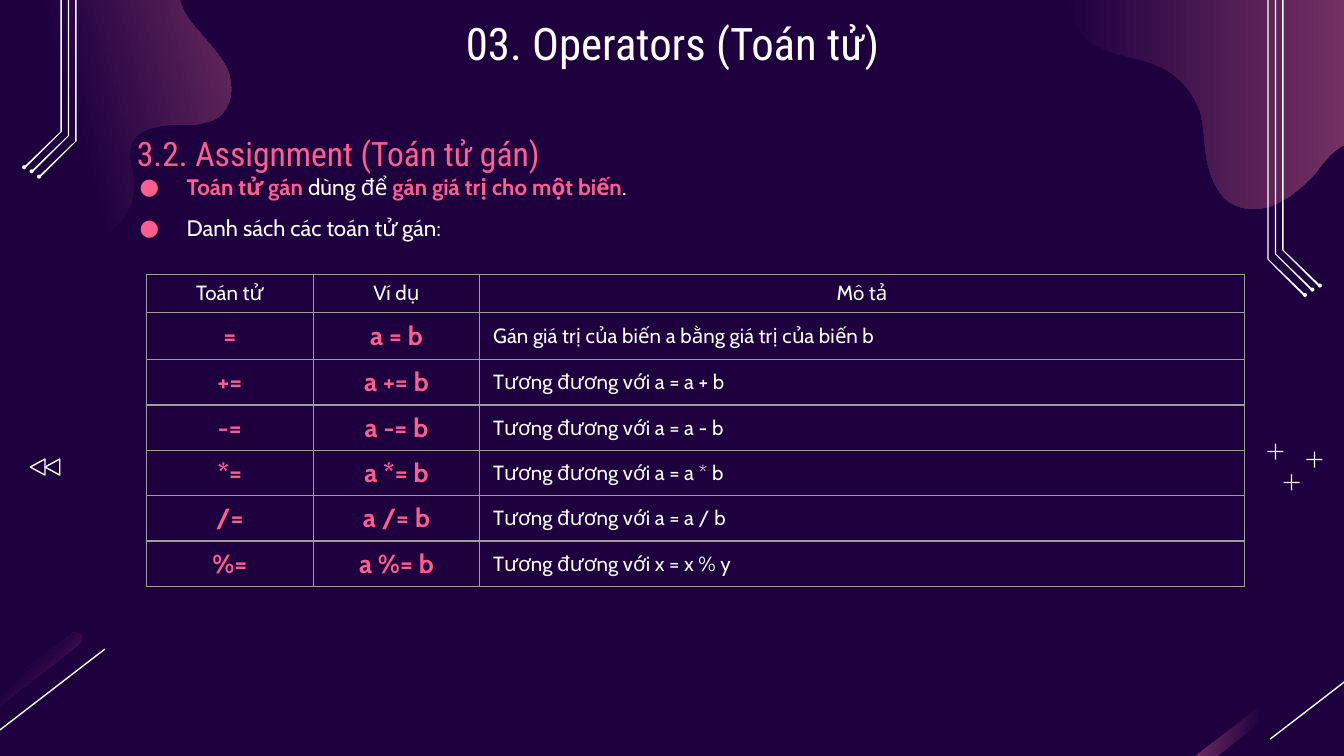
import pptx
import pptx.dml.color
import pptx.enum.shapes
import pptx.enum.text
import pptx.oxml
import pptx.oxml.ns
import pptx.util

COLS, ROWS = 10, 5.625
CELL = pptx.util.Inches(1)
NIGHT, PLUM, PINK, WHITE, GREY = "1E003F", "A64D79", "FF5E8E", "FFFFFF", "9E9E9E"
BODY, HEAD = "Cabin", "Roboto Condensed"
NS = pptx.oxml.ns.nsdecls("a")
SHAPE = pptx.enum.shapes.MSO_SHAPE
ALIGN = pptx.enum.text.PP_ALIGN
ANCHOR = pptx.enum.text.MSO_ANCHOR

LEFT_BLOB = [
    (0.48, 1.9), (0.74, 1.83, 0.86, 1.69, 0.9, 1.65), (0.98, 1.56, 1.01, 1.43, 0.99, 1.31),
    (0.98, 1.24, 0.95, 1.17, 0.97, 1.11), (0.98, 1.02, 1.06, 0.97, 1.14, 0.95),
    (1.24, 0.92, 1.33, 0.93, 1.42, 0.93), (1.46, 0.93, 1.5, 0.92, 1.53, 0.91),
    (1.58, 0.9, 1.63, 0.88, 1.66, 0.84), (1.74, 0.75, 1.73, 0.61, 1.69, 0.51),
    (1.64, 0.41, 1.55, 0.32, 1.48, 0.23), (1.4, 0.15, 1.33, 0.04, 1.33, -0.07),
    (1.33, -0.16, 1.36, -0.25, 1.43, -0.31), (1.47, -0.35, 1.53, -0.38, 1.59, -0.39),
    (1.68, -0.42, 1.79, -0.42, 1.9, -0.41), (2.01, -0.41, 2.12, -0.4, 2.23, -0.42),
    (2.37, -0.46, 2.46, -0.51, 2.52, -0.58), (2.59, -0.66, 2.61, -0.78, 2.58, -0.87),
    (2.56, -1.05, 2.44, -1.25, 2.33, -1.34), (2.15, -1.5, 1.9, -1.55, 1.67, -1.51),
    (1.29, -1.4, 1.03, -1.1, 0.7, -0.95), (0.65, -0.93, 0.59, -0.91, 0.54, -0.9),
    (0.22, -0.81, -0.13, -0.85, -0.47, -0.82), (-0.62, -0.81, -0.77, -0.78, -0.91, -0.74),
    (-1.04, -0.71, -1.16, -0.67, -1.28, -0.61), (-1.45, -0.54, -1.62, -0.44, -1.74, -0.3),
    (-1.86, -0.17, -1.95, 0.02, -1.94, 0.22), (-1.93, 0.46, -1.76, 0.68, -1.56, 0.8),
    (-1.35, 0.93, -1.12, 0.97, -0.88, 0.99), (-0.74, 1.01, -0.6, 1.01, -0.46, 1.06),
    (-0.32, 1.1, -0.19, 1.19, -0.13, 1.33), (-0.08, 1.44, -0.08, 1.55, -0.03, 1.66),
    (0.06, 1.84, 0.29, 1.95, 0.48, 1.9)]
RIGHT_BLOB = [
    (1.25, 0.38), (1.25, 0.13, 1.18, -0.13, 1.05, -0.35), (0.94, -0.54, 0.78, -0.7, 0.58, -0.77),
    (0.36, -0.85, 0.12, -0.81, -0.11, -0.84), (-0.33, -0.87, -0.55, -0.97, -0.71, -1.13),
    (-0.82, -1.23, -0.91, -1.35, -1.03, -1.41), (-1.17, -1.48, -1.33, -1.46, -1.48, -1.43),
    (-1.6, -1.4, -1.72, -1.36, -1.81, -1.29), (-1.97, -1.17, -2.04, -0.97, -2.07, -0.78),
    (-2.1, -0.65, -2.11, -0.51, -2.11, -0.38), (-2.11, -0.31, -2.11, -0.24, -2.1, -0.18),
    (-2.09, 0, -2.04, 0.18, -1.91, 0.3), (-1.75, 0.42, -1.53, 0.42, -1.36, 0.5),
    (-1.22, 0.57, -1.12, 0.69, -1.07, 0.83), (-1.04, 0.94, -1.04, 1.07, -1.02, 1.19),
    (-1, 1.3, -0.95, 1.43, -0.86, 1.5), (-0.76, 1.57, -0.62, 1.57, -0.51, 1.52),
    (-0.4, 1.47, -0.31, 1.39, -0.22, 1.3), (-0.17, 1.23, -0.12, 1.16, -0.05, 1.11),
    (0.02, 1.06, 0.1, 1.03, 0.18, 1.06), (0.33, 1.1, 0.38, 1.3, 0.52, 1.38),
    (0.85, 1.57, 1.08, 1.12, 1.17, 0.88), (1.22, 0.72, 1.25, 0.55, 1.25, 0.38)]
STREAK = [
    (1.44, 0), (1.45, 0, 1.47, 0, 1.48, 0.01), (1.49, 0.04, 1.49, 0.07, 1.47, 0.08),
    (0.07, 1.17), (0.04, 1.18, 0.01, 1.18, 0, 1.16), (-0.02, 1.14, -0.02, 1.11, 0.01, 1.09),
    (1.41, 0.01), (1.42, 0, 1.43, -0.01, 1.44, 0)]


def rgb(value):
    return pptx.dml.color.RGBColor.from_string(value)


def grid(*values):
    return [round(v * CELL) for v in values]


def put_text(p, text, font=BODY, size=11, color=WHITE, bold=False):
    r = p.add_run()
    r.text = text
    r.font.name, r.font.size, r.font.bold = font, pptx.util.Pt(size), bold
    r.font.color.rgb = rgb(color)


def frame(sp, box, anchor):
    sp.left, sp.top, sp.width, sp.height = grid(*box)
    tf = sp.text_frame
    tf.word_wrap, tf.vertical_anchor = True, anchor
    tf.auto_size = pptx.enum.text.MSO_AUTO_SIZE.NONE
    tf.margin_left = tf.margin_right = tf.margin_top = tf.margin_bottom = grid(0.1)[0]
    return tf


def style(sp, fill=None, line=None):
    sp.shadow.inherit = False
    if fill:
        sp.fill.solid()
        sp.fill.fore_color.rgb = rgb(fill)
    else:
        sp.fill.background()
    if line:
        sp.line.color.rgb, sp.line.width = rgb(line), pptx.util.Pt(0.75)
    else:
        sp.line.fill.background()


def shade(sp, stops, direction):
    sp.fill.gradient()
    old = sp._element.spPr.find(pptx.oxml.ns.qn("a:gradFill"))
    marks = "".join(f'<a:gs pos="{pos * 1000}"><a:srgbClr val="{c}"/></a:gs>' for pos, c in stops)
    new = pptx.oxml.parse_xml(
        f'<a:gradFill {NS} rotWithShape="1"><a:gsLst>{marks}</a:gsLst>{direction}</a:gradFill>')
    old.getparent().replace(old, new)


def linear(degrees):
    return f'<a:lin ang="{degrees * 60000}" scaled="0"/>'


def flatten(segments, steps=8):
    points = [segments[0]]
    for seg in segments[1:]:
        if len(seg) == 2:
            points.append(seg)
            continue
        ends = [points[-1], seg[:2], seg[2:4], seg[4:]]
        for i in range(1, steps + 1):
            t = i / steps
            weights = [(1 - t) ** 3, 3 * t * (1 - t) ** 2, 3 * t * t * (1 - t), t ** 3]
            points.append(tuple(sum(w * e[k] for w, e in zip(weights, ends)) for k in (0, 1)))
    return points


def outline(slide, origin, segments, fill=None):
    points = [grid(origin[0] + x, origin[1] + y) for x, y in flatten(segments)]
    builder = slide.shapes.build_freeform(*points[0])
    builder.add_line_segments(points[1:], close=True)
    sp = builder.convert_to_shape()
    style(sp, fill)
    return sp


def preset(slide, kind, box, fill=None, line=None):
    sp = slide.shapes.add_shape(kind, *grid(*box))
    style(sp, fill, line)
    return sp


def draw_streak(slide, origin, direction):
    x, y = origin
    sp = outline(slide, origin, STREAK)
    shade(sp, [(0, NIGHT), (50, NIGHT), (100, PLUM)], direction)
    line = slide.shapes.add_connector(
        pptx.enum.shapes.MSO_CONNECTOR.STRAIGHT, *grid(x + 1.66, y + 0.12, x + 0.79, y + 0.79))
    line.line.color.rgb, line.line.width = rgb(WHITE), pptx.util.Pt(0.75)
    line._element.spPr.append(pptx.oxml.parse_xml(f"<a:effectLst {NS}/>"))


def draw_traces(slide, origin, side):
    for i, turn in enumerate((3.12, 3.08, 3.05)):
        start = (origin[0] + side * i * 0.055, origin[1])
        track = [(0, 0), (0, turn), (0.27, turn + 0.27), (0.28, turn + 0.26), (0.01, turn), (0.01, 0)]
        outline(slide, start, [(side * x, y) for x, y in track], WHITE)
        dot = (start[0] + side * 0.28 - 0.015, start[1] + turn + 0.25, 0.03, 0.03)
        preset(slide, SHAPE.OVAL, dot, WHITE)


def draw_pluses(slide, origin):
    for dx, dy in ((0.18, 0.29), (0.35, 0.12), (0.06, 0.06)):
        for w, h in ((0.12, 0.01), (0.01, 0.12)):
            preset(slide, SHAPE.RECTANGLE, (origin[0] + dx - w / 2, origin[1] + dy - h / 2, w, h), WHITE)


def draw_rewind(slide, origin):
    for i in range(2):
        box = (origin[0] + i * 0.11, origin[1], 0.12, 0.11)
        preset(slide, SHAPE.ISOSCELES_TRIANGLE, box, line=WHITE).rotation = 270


def draw_backdrop(slide):
    left = outline(slide, (0, 0), LEFT_BLOB)
    shade(left, [(0, NIGHT), (50, NIGHT), (100, PLUM)], linear(345))
    right = outline(slide, (COLS, 0), RIGHT_BLOB)
    shade(right, [(0, NIGHT), (100, PLUM)], linear(0))
    corner = '<a:path path="circle"><a:fillToRect r="100000" b="100000"/></a:path>'
    draw_streak(slide, (-0.88, 4.71), corner)
    draw_streak(slide, (8.66, 4.71), linear(187))
    draw_traces(slide, (9.43, -1.19), 1)
    draw_traces(slide, (0.57, -2.07), -1)
    draw_pluses(slide, (9.43, 3.3))
    draw_rewind(slide, (0.22, 3.42))


def write_title(slide, box):
    p = frame(slide.shapes.title, box, ANCHOR.MIDDLE).paragraphs[0]
    p.alignment = ALIGN.CENTER
    put_text(p, "03. Operators (Toán tử)", font=HEAD, size=24)


def write_heading(slide, box):
    p = frame(slide.shapes.add_textbox(*grid(*box)), box, ANCHOR.BOTTOM).paragraphs[0]
    p.line_spacing, p.space_after = 1.15, pptx.util.Pt(12)
    put_text(p, "3.2. Assignment (Toán tử gán)", font=HEAD, size=18, color=PINK)


def write_bullets(slide, box):
    tf = frame(slide.shapes.add_textbox(*grid(*box)), box, ANCHOR.TOP)
    lines = [
        [("Toán tử gán ", True), ("dùng để ", False), ("gán giá trị cho một biến", True), (".", False)],
        [("Danh sách các toán tử gán:", False)]]
    for i, line in enumerate(lines):
        p = tf.add_paragraph() if i else tf.paragraphs[0]
        pPr = p._p.get_or_add_pPr()
        indent, hang = grid(0.5, -0.35)
        pPr.set("marL", str(indent))
        pPr.set("indent", str(hang))
        pPr.append(pptx.oxml.parse_xml(f'<a:buClr {NS}><a:srgbClr val="{PINK}"/></a:buClr>'))
        pPr.append(pptx.oxml.parse_xml(f'<a:buFont {NS} typeface="{BODY}"/>'))
        pPr.append(pptx.oxml.parse_xml(f'<a:buChar {NS} char="●"/>'))
        p.line_spacing = 1.5
        for text, key in line:
            put_text(p, text, size=12, color=PINK if key else WHITE, bold=key)


def format_cell(cell):
    cell.vertical_anchor = ANCHOR.MIDDLE
    cell.fill.background()
    tcPr = cell._tc.get_or_add_tcPr()
    for i, edge in enumerate("LRTB"):
        tcPr.insert(i, pptx.oxml.parse_xml(
            f'<a:ln{edge} {NS} w="9525"><a:solidFill><a:srgbClr val="{GREY}"/></a:solidFill></a:ln{edge}>'))


def draw_table(slide, box):
    rows = [("Toán tử", "Ví dụ", "Mô tả"),
            ("=", "a = b", "Gán giá trị của biến a bằng giá trị của biến b")]
    rows += [(f"{op}=", f"a {op}= b", f"Tương đương với a = a {op} b") for op in "+-*/"]
    rows.append(("%=", "a %= b", "Tương đương với x = x % y"))
    table = slide.shapes.add_table(len(rows), 3, *grid(*box)).table
    table.first_row = table.horz_banding = False
    for col, width in zip(table.columns, grid(1.24, 1.24, box[2] - 2.48)):
        col.width = width
    for row, height in zip(table.rows, grid(0.21, 0.35, *[0.31] * 5)):
        row.height = height
    for i, texts in enumerate(rows):
        for j, text in enumerate(texts):
            cell = table.cell(i, j)
            format_cell(cell)
            p = cell.text_frame.paragraphs[0]
            p.alignment = ALIGN.LEFT if i and j == 2 else ALIGN.CENTER
            key = i > 0 and j < 2
            put_text(p, text, size=14 if key else 11, color=PINK if key else WHITE, bold=key)


def main():
    prs = pptx.Presentation()
    prs.slide_width, prs.slide_height = grid(COLS, ROWS)
    slide = prs.slides.add_slide(prs.slide_layouts[5])
    slide.background.fill.solid()
    slide.background.fill.fore_color.rgb = rgb(NIGHT)
    draw_backdrop(slide)
    write_bullets(slide, (0.79, 1.09, 8.12, 0.83))
    write_title(slide, (0.79, 0, 8.43, 0.63))
    write_heading(slide, (0.92, 0.94, 7.02, 0.45))
    draw_table(slide, (1.09, 2.04, 8.17, 2.3))
    prs.save("out.pptx")


if __name__ == "__main__":
    main()
